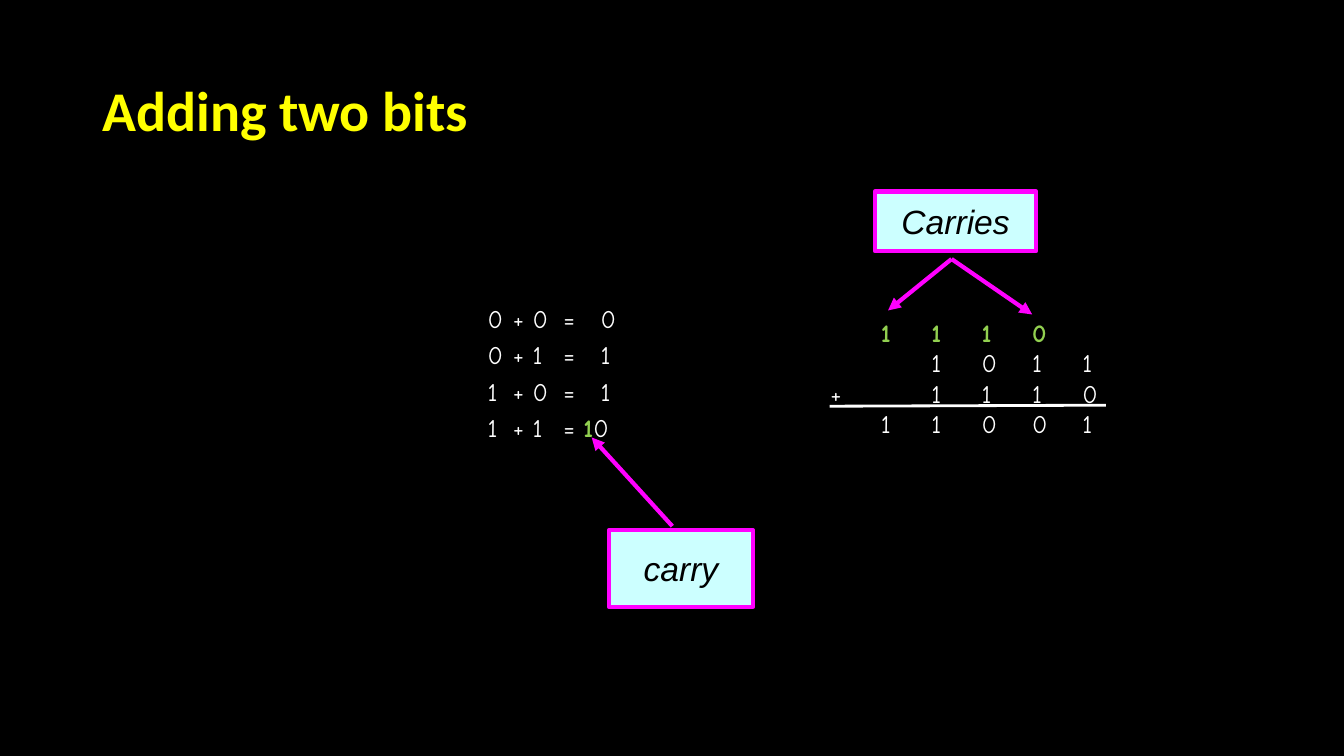
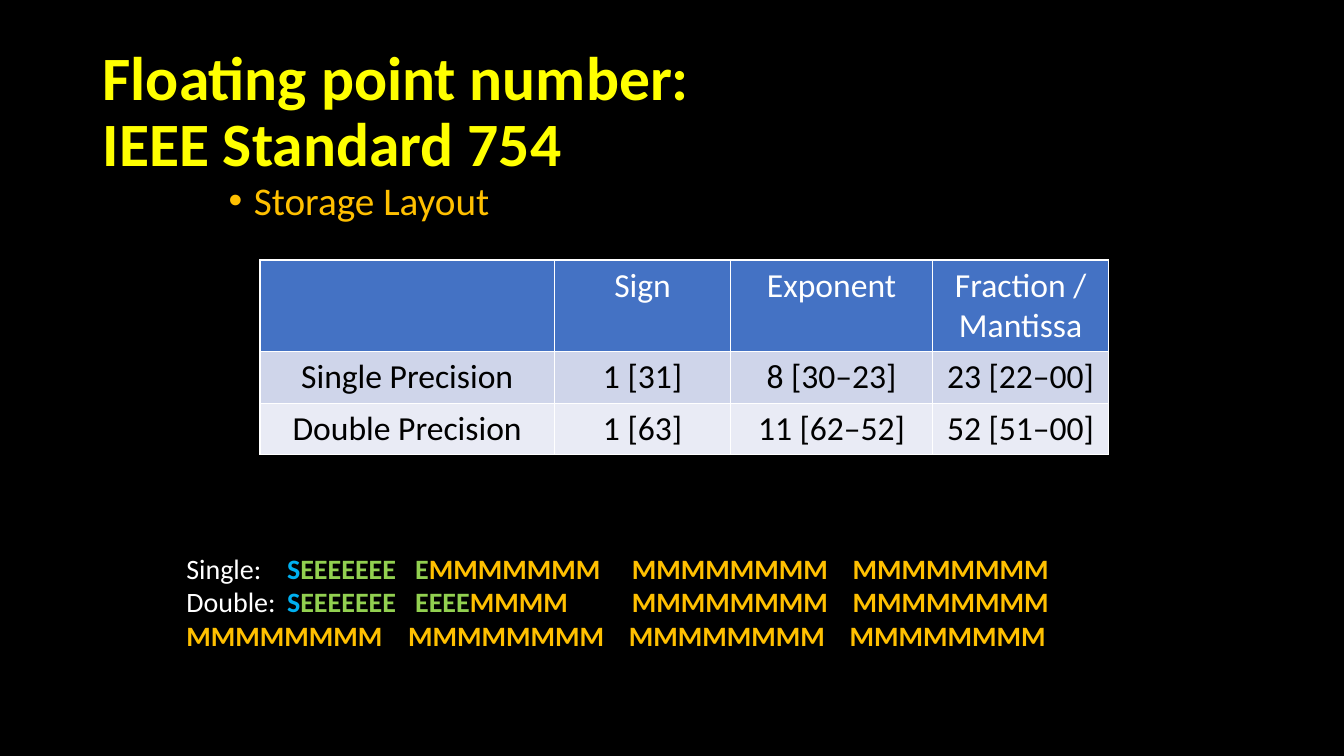
from dataclasses import dataclass
from typing import NamedTuple

from pptx import Presentation
from pptx import util as u
from pptx.dml.color import RGBColor
from pptx.enum import shapes, text
from pptx.oxml import ns, xmlchemy

BLACK = RGBColor(0x00, 0x00, 0x00)
WHITE = RGBColor(0xFF, 0xFF, 0xFF)
YELLOW = RGBColor(0xFF, 0xFF, 0x00)
MAGENTA = RGBColor(0xFF, 0x00, 0xFF)
PALE_CYAN = RGBColor(0xCC, 0xFF, 0xFF)
GREEN = RGBColor(0x92, 0xD0, 0x50)
GOLD = RGBColor(0xFF, 0xC0, 0x00)
SKY = RGBColor(0x00, 0xB0, 0xF0)
HEADER_BLUE = RGBColor(0x44, 0x72, 0xC4)
ROW_BLUES = RGBColor(0xCF, 0xD5, 0xEA), RGBColor(0xE9, 0xEB, 0xF5)

GRID = u.Inches(0.1)  # side of one grid cell
SLIDE_COLS, SLIDE_ROWS = 133.33, 75


class Point(NamedTuple):
    col: float
    row: float


class Area(NamedTuple):
    col: float
    row: float
    cols: float
    rows: float


@dataclass(frozen=True)
class Style:
    font: str
    size: int
    color: RGBColor = WHITE
    bold: bool = False
    italic: bool = False


class Span(NamedTuple):
    wording: str
    color: RGBColor = WHITE
    bold: bool = False


class Line(NamedTuple):
    spans: tuple[Span, ...]
    tabs: tuple[float, ...]
    spacing: float = 1.0


class Callout(NamedTuple):
    label: str
    area: Area
    start: Point
    targets: tuple[Point, ...]


TITLE_AREA = Area(9.2, 4, 115, 14.5)
DIGITS = Style("Comic Neue", 18)
CALLOUT = Style("Arial", 24, BLACK, italic=True)
SUBTITLE = Style("Calibri", 28, GOLD)
LAYOUT = Style("Calibri", 20)
HEADER = Style("Calibri", 24)
BODY = Style("Calibri", 24, BLACK)

SUM_TABS = (2.5, 7.5, 11.2)
SUMS = [
    Line((Span("0\t+ 0\t=\t0"),), SUM_TABS),
    Line((Span("0\t+ 1\t=\t1"),), SUM_TABS, 1.2),
    Line((Span("1\t+ 0\t=\t1"),), SUM_TABS, 1.2),
    Line((Span("1\t+ 1\t= "), Span("1", GREEN, True), Span("0")), SUM_TABS, 1.2),
]
BIT_TABS = tuple(5 * place for place in range(1, 6))
ADDITION = [
    Line((Span("\t1\t1\t1\t0", GREEN, True),), BIT_TABS),
    Line((Span("\t\t1\t0\t1\t1"),), BIT_TABS),
    Line((Span("+\t\t1\t1\t1\t0"),), BIT_TABS),
    Line((Span("\t1\t1\t0\t0\t1"),), BIT_TABS),
]
CALLOUTS = [
    Callout("carry", Area(60.4, 52.6, 14.3, 7.6), Point(66.7, 52.2), (Point(58.7, 43.4),)),
    Callout("Carries", Area(86.8, 19, 16, 5.9), Point(94.4, 25.7),
            (Point(88.1, 30.8), Point(102.4, 31.2))),
]

PRECISION_ROWS = [
    ("", "Sign", "Exponent", "Fraction /\nMantissa"),
    ("Single Precision", "1 [31]", "8 [30–23]", "23 [22–00]"),
    ("Double Precision", "1 [63]", "11 [62–52]", "52 [51–00]"),
]
PRECISION_COLS = (29.2, 17.5, 20, 17.5)
PRECISION_HEIGHTS = (9.1, 5.1, 5.1)

BYTE = "M" * 8
FIELD_TABS = (10, 22.7, 44.2, 66.1)
SIGN = Span("S", SKY, True)
FIELDS = [
    Line((Span("Single:\t"), SIGN, Span("EEEEEEE\tE", GREEN, True),
          Span(f"MMMMMMM\t{BYTE}\t{BYTE}", GOLD, True)), FIELD_TABS),
    Line((Span("Double:\t"), SIGN, Span("EEEEEEE\tEEEE", GREEN, True),
          Span(f"MMMM\t{BYTE}\t{BYTE}", GOLD, True)), FIELD_TABS),
    Line((Span("\t".join([BYTE] * 4), GOLD, True),), (22, 43.9, 65.8)),
]


def cells(count: float) -> int:
    """Length of a number of grid cells."""
    return round(count * GRID)


def add_xml(parent: xmlchemy.BaseOxmlElement, tag: str, **attributes: object):
    child = parent.makeelement(ns.qn(tag), {k: str(v) for k, v in attributes.items()})
    parent.append(child)
    return child


def format_run(run, style: Style) -> None:
    font = run.font
    font.name, font.size = style.font, u.Pt(style.size)
    font.bold, font.italic = style.bold, style.italic
    font.color.rgb = style.color


def set_text(frame, wording: str, style: Style, align=text.PP_ALIGN.LEFT) -> None:
    frame.text = wording
    for paragraph in frame.paragraphs:
        paragraph.alignment = align
        for run in paragraph.runs:
            format_run(run, style)


def add_text_area(container, area: Area):
    frame = container.add_textbox(*map(cells, area)).text_frame
    frame.word_wrap = True
    return frame


def add_lines(container, area: Area, lines: list[Line], style: Style) -> None:
    """Text whose columns are aligned on tab stops."""
    frame = add_text_area(container, area)
    for index, line in enumerate(lines):
        paragraph = frame.add_paragraph() if index else frame.paragraphs[0]
        paragraph.line_spacing = line.spacing
        stops = add_xml(paragraph._p.get_or_add_pPr(), "a:tabLst")
        for stop in line.tabs:
            add_xml(stops, "a:tab", pos=cells(stop), algn="l")
        for span in line.spans:
            run = paragraph.add_run()
            run.text = span.wording
            format_run(run, Style(style.font, style.size, span.color, span.bold))


def add_rule(container, start: Point, end: Point, color: RGBColor, width: float,
             arrow: bool = False) -> None:
    rule = container.add_connector(shapes.MSO_CONNECTOR.STRAIGHT, *map(cells, (*start, *end)))
    rule.line.color.rgb, rule.line.width = color, u.Pt(width)
    if arrow:
        add_xml(rule.line._get_or_add_ln(), "a:tailEnd", type="triangle")
    add_xml(rule._element.spPr, "a:effectLst")


def add_callout(container, callout: Callout) -> None:
    box = container.add_shape(shapes.MSO_SHAPE.RECTANGLE, *map(cells, callout.area))
    box.shadow.inherit = False
    box.fill.solid()
    box.fill.fore_color.rgb = PALE_CYAN
    box.line.color.rgb, box.line.width = MAGENTA, u.Pt(3)
    box.text_frame.vertical_anchor = text.MSO_ANCHOR.MIDDLE
    set_text(box.text_frame, callout.label, CALLOUT, text.PP_ALIGN.CENTER)
    for target in callout.targets:
        add_rule(container, callout.start, target, MAGENTA, 3, arrow=True)


def fill_cell(cell, wording: str, fill: RGBColor, style: Style) -> None:
    set_text(cell.text_frame, wording, style, text.PP_ALIGN.CENTER)
    properties = cell._tc.get_or_add_tcPr()
    for side in ("a:lnL", "a:lnR", "a:lnT", "a:lnB"):
        border = add_xml(properties, side, w=u.Pt(1))
        add_xml(add_xml(border, "a:solidFill"), "a:srgbClr", val=WHITE)
    cell.fill.solid()
    cell.fill.fore_color.rgb = fill


def add_precision_table(container) -> None:
    area = Area(25.8, 25.8, sum(PRECISION_COLS), sum(PRECISION_HEIGHTS))
    table = container.add_table(
        len(PRECISION_ROWS), len(PRECISION_COLS), *map(cells, area)).table
    for column, width in zip(table.columns, PRECISION_COLS):
        column.width = cells(width)
    for row, height in zip(table.rows, PRECISION_HEIGHTS):
        row.height = cells(height)
    fills = (HEADER_BLUE, *ROW_BLUES)
    for r, wordings in enumerate(PRECISION_ROWS):
        for c, wording in enumerate(wordings):
            fill_cell(table.cell(r, c), wording, fills[r], BODY if r else HEADER)


def add_titled_slide(deck, title: str, size: int):
    slide = deck.slides.add_slide(deck.slide_layouts[6])
    frame = add_text_area(slide.shapes, TITLE_AREA)
    frame.vertical_anchor = text.MSO_ANCHOR.MIDDLE
    set_text(frame, title, Style("Calibri", size, YELLOW, bold=True))
    for paragraph in frame.paragraphs:
        paragraph.line_spacing = 0.9
    return slide.shapes


def build_adding_bits(deck) -> None:
    canvas = add_titled_slide(deck, "Adding two bits", 40)
    add_lines(canvas, Area(47.4, 29.6, 14.8, 14.9), SUMS, DIGITS)
    addition = canvas.add_group_shape().shapes
    add_lines(addition, Area(81.4, 31, 28.5, 13), ADDITION, DIGITS)
    add_rule(addition, Point(82.3, 40.3), Point(109.7, 40.2), WHITE, 2)
    for callout in CALLOUTS:
        add_callout(canvas, callout)


def build_floating_point(deck) -> None:
    canvas = add_titled_slide(deck, "Floating point number:\vIEEE Standard 754", 44)
    subtitle = add_text_area(canvas, Area(21.7, 17.5, 90, 6.7))
    set_text(subtitle, "Storage Layout", SUBTITLE)
    bullet = subtitle.paragraphs[0]
    bullet.line_spacing, bullet.space_before = 0.9, u.Pt(10)
    properties = bullet._p.get_or_add_pPr()
    properties.set("marL", str(cells(2.5)))
    properties.set("indent", str(cells(-2.5)))
    add_xml(properties, "a:buFont", typeface="Arial")
    add_xml(properties, "a:buChar", char="•")
    add_precision_table(canvas)
    add_lines(canvas, Area(17.5, 54.2, 98.3, 11.1), FIELDS, LAYOUT)


def main() -> None:
    deck = Presentation()
    deck.slide_width, deck.slide_height = cells(SLIDE_COLS), cells(SLIDE_ROWS)
    backdrop = deck.slide_master.background.fill
    backdrop.solid()
    backdrop.fore_color.rgb = BLACK
    build_adding_bits(deck)
    build_floating_point(deck)
    deck.save("out.pptx")


if __name__ == "__main__":
    main()
